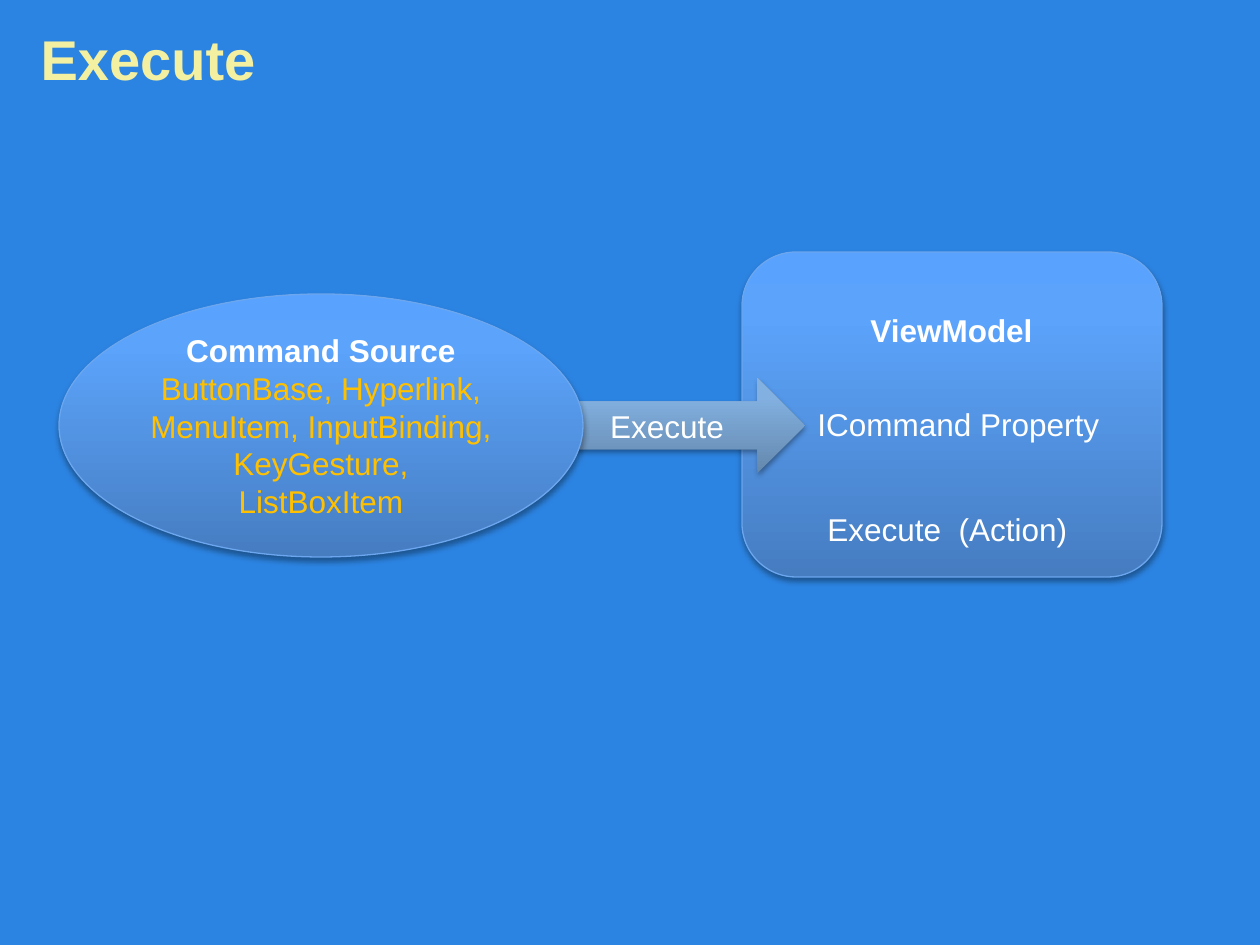
from dataclasses import dataclass

from lxml import etree
from pptx import Presentation
from pptx import util as u
from pptx.dml.color import RGBColor
from pptx.enum import shapes, text
from pptx.oxml.ns import qn

PIXEL = 914400 // 126


@dataclass(frozen=True)
class Theme:
    font: str = "Arial"
    title_size: int = 32
    body_size: int = 18
    background: str = "2C84E2"
    title: str = "F3F0A1"
    body: str = "FFFFFF"
    accent: str = "FFC000"
    outline: str = "6BA6EE"
    shadow: str = "000000"
    # Gradient stops run from the bottom edge to the top edge
    node: tuple = ((0, "467DC1"), (80, "5BA3FB"), (100, "59A3FF"))
    arrow: tuple = ((0, "6488AD"), (80, "82B0E0"), (100, "80B1E3"))


def rgb(value):
    return RGBColor.from_string(value)


def add_color(parent, value):
    return etree.SubElement(parent, qn("a:srgbClr"), val=value)


class Slide:
    def __init__(self, deck, theme):
        self.theme = theme
        self.page = deck.slides.add_slide(deck.slide_layouts[5])
        fill = self.page.background.fill
        fill.solid()
        fill.fore_color.rgb = rgb(theme.background)

    def set_text(self, frame, lines, align, anchor, size):
        """Each line is a tuple of wording, colour and bold."""
        frame.word_wrap = True
        frame.vertical_anchor = anchor
        frame.text = "\n".join(line[0] for line in lines)
        for para, (_, color, bold) in zip(frame.paragraphs, lines):
            para.alignment = align
            for span in para.runs:
                span.font.name = self.theme.font
                span.font.size = u.Pt(size)
                span.font.bold = bold
                span.font.color.rgb = rgb(color)

    def title(self, wording, *place):
        box = self.page.shapes.title
        box.left, box.top, box.width, box.height = (n * PIXEL for n in place)
        self.set_text(box.text_frame, [(wording, self.theme.title, True)],
                      text.PP_ALIGN.LEFT, text.MSO_ANCHOR.MIDDLE,
                      self.theme.title_size)

    def label(self, wording, *place, bold=False, align=text.PP_ALIGN.LEFT):
        box = self.page.shapes.add_textbox(*(n * PIXEL for n in place))
        self.set_text(box.text_frame, [(wording, self.theme.body, bold)],
                      align, text.MSO_ANCHOR.TOP, self.theme.body_size)

    def shape(self, kind, *place, stops, outlined=True, lines=()):
        shape = self.page.shapes.add_shape(kind, *(n * PIXEL for n in place))
        self.shade(shape, stops)
        if outlined:
            shape.line.color.rgb = rgb(self.theme.outline)
            shape.line.width = u.Pt(0.75)
        else:
            shape.line.fill.background()
        self.cast_shadow(shape)
        if lines:
            self.set_text(shape.text_frame, lines, text.PP_ALIGN.CENTER,
                          text.MSO_ANCHOR.MIDDLE, self.theme.body_size)

    def shade(self, shape, stops):
        shape.fill.gradient()
        shape.fill.gradient_angle = 90
        stop_list = shape.element.spPr.find(".//" + qn("a:gsLst"))
        for stop in list(stop_list):
            stop_list.remove(stop)
        for percent, color in stops:
            add_color(etree.SubElement(stop_list, qn("a:gs"),
                                       pos=str(percent * 1000)), color)

    def cast_shadow(self, shape):
        shape.shadow.inherit = False
        effects = shape.element.spPr.find(qn("a:effectLst"))
        shadow = etree.SubElement(
            effects, qn("a:outerShdw"), blurRad=str(u.Pt(3.1)),
            dist=str(u.Pt(1.8)), dir="5400000", rotWithShape="0")
        color = add_color(shadow, self.theme.shadow)
        etree.SubElement(color, qn("a:alpha"), val="35000")


deck = Presentation()
deck.slide_width, deck.slide_height = u.Inches(10), u.Inches(7.5)
theme = Theme()
slide = Slide(deck, theme)
preset = shapes.MSO_SHAPE

slide.title("Execute", 28, 25, 1205, 66)

# View model panel
slide.shape(preset.ROUNDED_RECTANGLE, 742, 252, 420, 325, stops=theme.node)
slide.label("ViewModel", 752, 305, 399, 50, bold=True,
            align=text.PP_ALIGN.CENTER)
slide.label("ICommand Property", 805, 399, 336, 50)
slide.label("Execute  (Action)", 815, 504, 294, 50)

# Call from the source to the command
slide.shape(preset.RIGHT_ARROW, 553, 378, 252, 95, stops=theme.arrow,
            outlined=False, lines=[("Execute", theme.body, False)])

# Command source, in front of the arrow's tail
slide.shape(preset.OVAL, 59, 294, 524, 263, stops=theme.node, lines=[
    ("Command Source", theme.body, True),
    ("ButtonBase, Hyperlink, MenuItem, InputBinding, KeyGesture, ListBoxItem",
     theme.accent, False),
])

deck.save("out.pptx")
